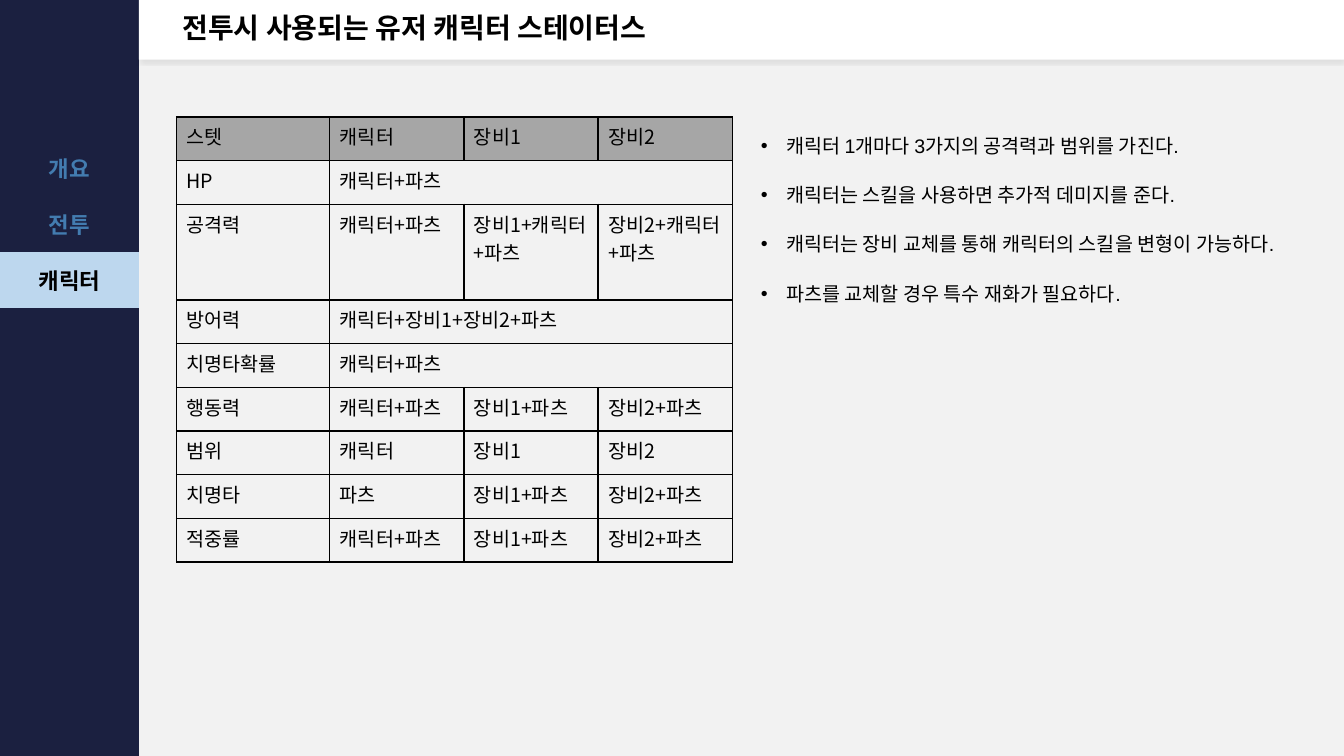
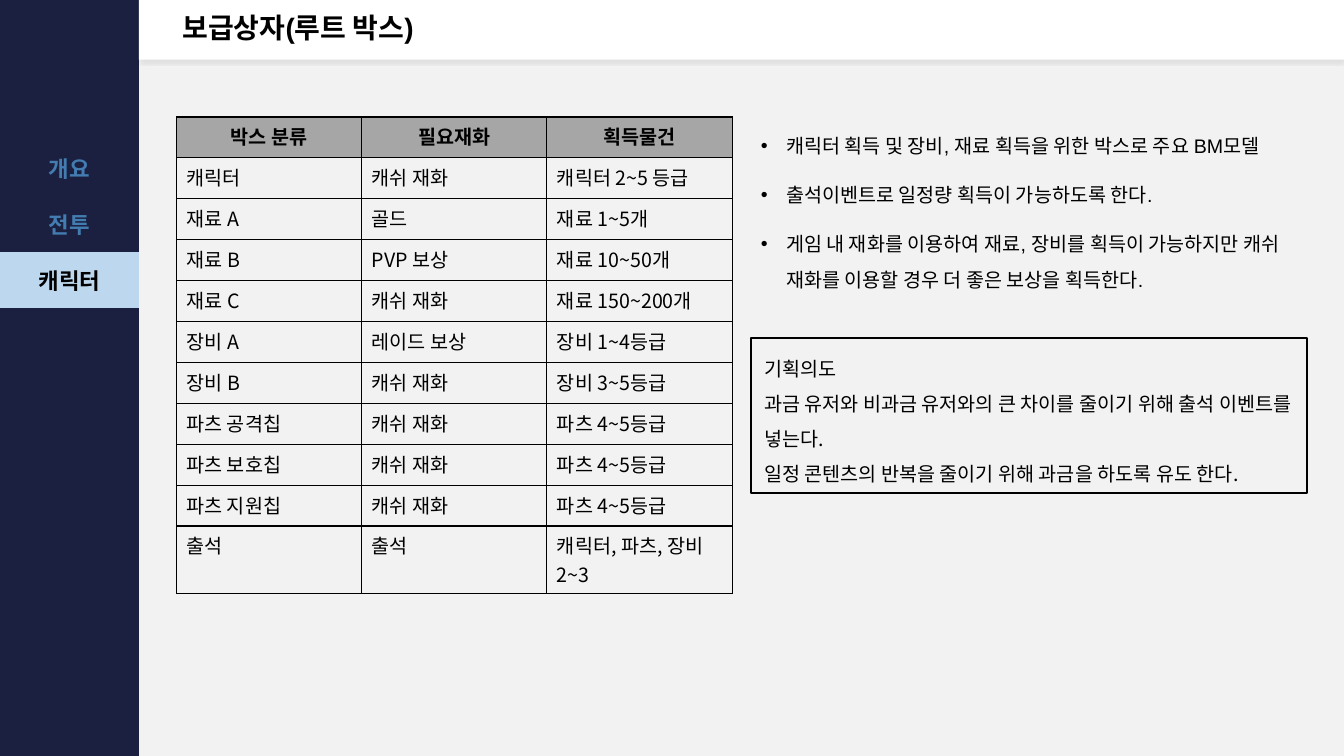
from lxml import etree
from pptx import Presentation
from pptx.dml.color import RGBColor
from pptx.enum import shapes, text
from pptx.oxml import ns
from pptx.util import Pt

NAVY, WHITE, BLACK = "1B2040", "FFFFFF", "000000"
PAPER, GREY, SKY, BLUE = "F2F2F2", "A6A6A6", "BDD7EE", "437CB0"
ARIAL, NOTO = "Arial", "Noto Sans CJK KR"
PLAIN = "{2D5ABB26-0587-4C30-8999-92F81FD0307C}"
WIDE, HIGH, SIDE, BAND = 960, 540, 99.3, 42.6
LEFT, TOP, GRID = 126, 83.5, 397
CENTER, MIDDLE = text.PP_ALIGN.CENTER, text.MSO_ANCHOR.MIDDLE

STATS = [
    ["스텟", "캐릭터", "장비1", "장비2"],
    ["HP", "캐릭터+파츠"],
    ["공격력", "캐릭터+파츠", "장비1+캐릭터+파츠", "장비2+캐릭터+파츠"],
    ["방어력", "캐릭터+장비1+장비2+파츠"],
    ["치명타확률", "캐릭터+파츠"],
    ["행동력", "캐릭터+파츠", "장비1+파츠", "장비2+파츠"],
    ["범위", "캐릭터", "장비1", "장비2"],
    ["치명타", "파츠", "장비1+파츠", "장비2+파츠"],
    ["적중률", "캐릭터+파츠", "장비1+파츠", "장비2+파츠"],
]
BOXES = [
    ["박스 분류", "필요재화", "획득물건"],
    ["캐릭터", "캐쉬 재화", "캐릭터 2~5 등급"],
    ["재료 A", "골드", "재료 1~5개"],
    ["재료 B", "PVP 보상", "재료 10~50개"],
    ["재료 C", "캐쉬 재화", "재료 150~200개"],
    ["장비 A", "레이드 보상", "장비 1~4등급"],
    ["장비 B", "캐쉬 재화", "장비 3~5등급"],
    ["파츠 공격칩", "캐쉬 재화", "파츠 4~5등급"],
    ["파츠 보호칩", "캐쉬 재화", "파츠 4~5등급"],
    ["파츠 지원칩", "캐쉬 재화", "파츠 4~5등급"],
    ["출석", "출석", "캐릭터, 파츠, 장비 2~3"],
]


def paint(fill, tone):
    """Give a fill one solid colour."""
    fill.solid()
    fill.fore_color.rgb = RGBColor.from_string(tone)


def node(up, tag, **attrs):
    """Add one drawing element under a parent."""
    return etree.SubElement(up, ns.qn(tag), attrs)


def write(frame, lines, size=14, font=NOTO, tone=BLACK, bold=False,
          align=text.PP_ALIGN.LEFT, line=None, gap=0, dot=False):
    """Write lines as formatted paragraphs of a text frame."""
    frame.word_wrap = True
    for i, words in enumerate(lines):
        par = frame.add_paragraph() if i else frame.paragraphs[0]
        par.alignment = align
        if line:
            par.line_spacing = line
        if gap and i:
            par.space_before = Pt(gap)
        if dot:
            props = par._p.get_or_add_pPr()
            props.set("marL", str(Pt(18)))
            props.set("indent", str(Pt(-18)))
            node(props, "a:buFont", typeface=ARIAL)
            node(props, "a:buChar", char="•")
        run = par.add_run()
        run.text = words
        run.font.size, run.font.bold, run.font.name = Pt(size), bold, font
        run.font.color.rgb = RGBColor.from_string(tone)
        node(run._r.get_or_add_rPr(), "a:ea", typeface=NOTO)


def block(slide, x, y, w, h, tone=None):
    """Draw a rectangle with no line and no shadow."""
    rect = slide.shapes.add_shape(shapes.MSO_SHAPE.RECTANGLE,
                                  Pt(x), Pt(y), Pt(w), Pt(h))
    rect.shadow.inherit = False
    rect.line.fill.background()
    if tone:
        paint(rect.fill, tone)
    else:
        rect.fill.background()
    return rect


def plain(slide, x, y, cols, rows, high):
    """Add a table without style and return its frame."""
    item = slide.shapes.add_table(rows, len(cols), Pt(x), Pt(y),
                                  Pt(sum(cols)), Pt(high * rows))
    next(item.element.iter(ns.qn("a:tableStyleId"))).text = PLAIN
    item.table.first_row = item.table.horz_banding = False
    for col, w in zip(item.table.columns, cols):
        col.width = Pt(w)
    for row in item.table.rows:
        row.height = Pt(high)
    return item


def edge(cell):
    """Draw thin black borders round a cell."""
    props = cell._tc.get_or_add_tcPr()
    for side in "LRTB":
        line = node(props, "a:ln" + side, w=str(Pt(1)))
        node(node(line, "a:solidFill"), "a:srgbClr", val=BLACK)


def grid(slide, x, y, cols, high, data, **head):
    """Fill a bordered table; a short row spans its last cell."""
    table = plain(slide, x, y, cols, len(data), high).table
    for r, words in enumerate(data):
        for c in range(len(cols)):
            cell = table.cell(r, c)
            edge(cell)
            paint(cell.fill, PAPER if r else GREY)
            if c < len(words):
                write(cell.text_frame, [words[c]], **({} if r else head))
        if len(words) < len(cols):
            table.cell(r, len(words) - 1).merge(table.cell(r, len(cols) - 1))


def menu(slide, x, y, w, high):
    """Draw the side menu with its current entry marked."""
    item = plain(slide, x, y, [w], 4, high)
    for i, words in enumerate(["개요", "전투", "캐릭터", ""]):
        cell, live = item.table.cell(i, 0), i == 2
        paint(cell.fill, SKY if live else NAVY)
        cell.vertical_anchor = MIDDLE
        if words:
            write(cell.text_frame, [words], size=16, bold=True, align=CENTER,
                  tone=BLACK if live else BLUE)
    return item


def frame(slide):
    """Build the shared bands and menu and move them to the layout."""
    base = slide.slide_layout
    paint(base.background.fill, PAPER)
    for spot in list(base.placeholders)[1:]:
        spot.element.getparent().remove(spot.element)
    side = block(slide, 0, 0, SIDE, HIGH, NAVY)
    band = block(slide, SIDE, 0, WIDE - SIDE, BAND, WHITE)
    glow = node(band.element.spPr.find(ns.qn("a:effectLst")), "a:outerShdw",
                blurRad=str(Pt(2)), dist=str(Pt(2)), dir="5400000",
                algn="t", rotWithShape="0")
    node(node(glow, "a:srgbClr", val=BLACK), "a:alpha", val="8000")
    tree = base.placeholders[0].element.getparent()
    for i, part in enumerate([side, band, menu(slide, 0, 100, SIDE, 40)]):
        tree.insert(2 + i, part.element)


def head(slide, words):
    """Place and format the title in the top band."""
    title = slide.shapes.title
    title.left, title.top = Pt(123), Pt(0)
    title.width, title.height = Pt(726.5), Pt(BAND)
    title.text_frame.vertical_anchor = MIDDLE
    title.text_frame.auto_size = text.MSO_AUTO_SIZE.NONE
    write(title.text_frame, [words], size=20, font=ARIAL, bold=True, line=0.9)


def points(slide, x, y, w, h, lines):
    """Write the bullet list in the right column."""
    box = slide.shapes.add_textbox(Pt(x), Pt(y), Pt(w), Pt(h))
    write(box.text_frame, lines, font=ARIAL, line=1.5, gap=10, dot=True)


def note(slide, x, y, w, h, lines):
    """Write a text in an outlined box."""
    box = block(slide, x, y, w, h)
    paint(box.line.fill, BLACK)
    box.line.width = Pt(1.5)
    body = box.text_frame
    body.margin_left = body.margin_right = Pt(9.4)
    body.margin_top = body.margin_bottom = Pt(4.5)
    body.vertical_anchor = MIDDLE
    write(body, lines, line=1.5)


def main():
    """Build both slides and save the file."""
    deck = Presentation()
    deck.slide_width, deck.slide_height = Pt(WIDE), Pt(HIGH)
    base = deck.slide_layouts[5]
    right = 536.4

    stat = deck.slides.add_slide(base)
    frame(stat)
    head(stat, "전투시 사용되는 유저 캐릭터 스테이터스")
    grid(stat, LEFT, TOP, [GRID - 3 * 95.8] + [95.8] * 3, 31.2, STATS)
    points(stat, right, TOP, 396, 430, [
        "캐릭터 1개마다 3가지의 공격력과 범위를 가진다.",
        "캐릭터는 스킬을 사용하면 추가적 데미지를 준다.",
        "캐릭터는 장비 교체를 통해 캐릭터의 스킬을 변형이 가능하다.",
        "파츠를 교체할 경우 특수 재화가 필요하다."])

    loot = deck.slides.add_slide(base)
    head(loot, "보급상자(루트 박스)")
    grid(loot, LEFT, TOP, [GRID / 3] * 3, 29.25, BOXES,
         bold=True, align=CENTER)
    note(loot, right, 241.2, GRID, 111, [
        "기획의도",
        "과금 유저와 비과금 유저와의 큰 차이를 줄이기 위해 출석 이벤트를 넣는다.",
        "일정 콘텐츠의 반복을 줄이기 위해 과금을 하도록 유도 한다."])
    points(loot, right, TOP, 396, 430, [
        "캐릭터 획득 및 장비, 재료 획득을 위한 박스로 주요 BM모델",
        "출석이벤트로 일정량 획득이 가능하도록 한다.",
        "게임 내 재화를 이용하여 재료, 장비를 획득이 가능하지만 "
        "캐쉬 재화를 이용할 경우 더 좋은 보상을 획득한다."])
    deck.save("out.pptx")


if __name__ == "__main__":
    main()
